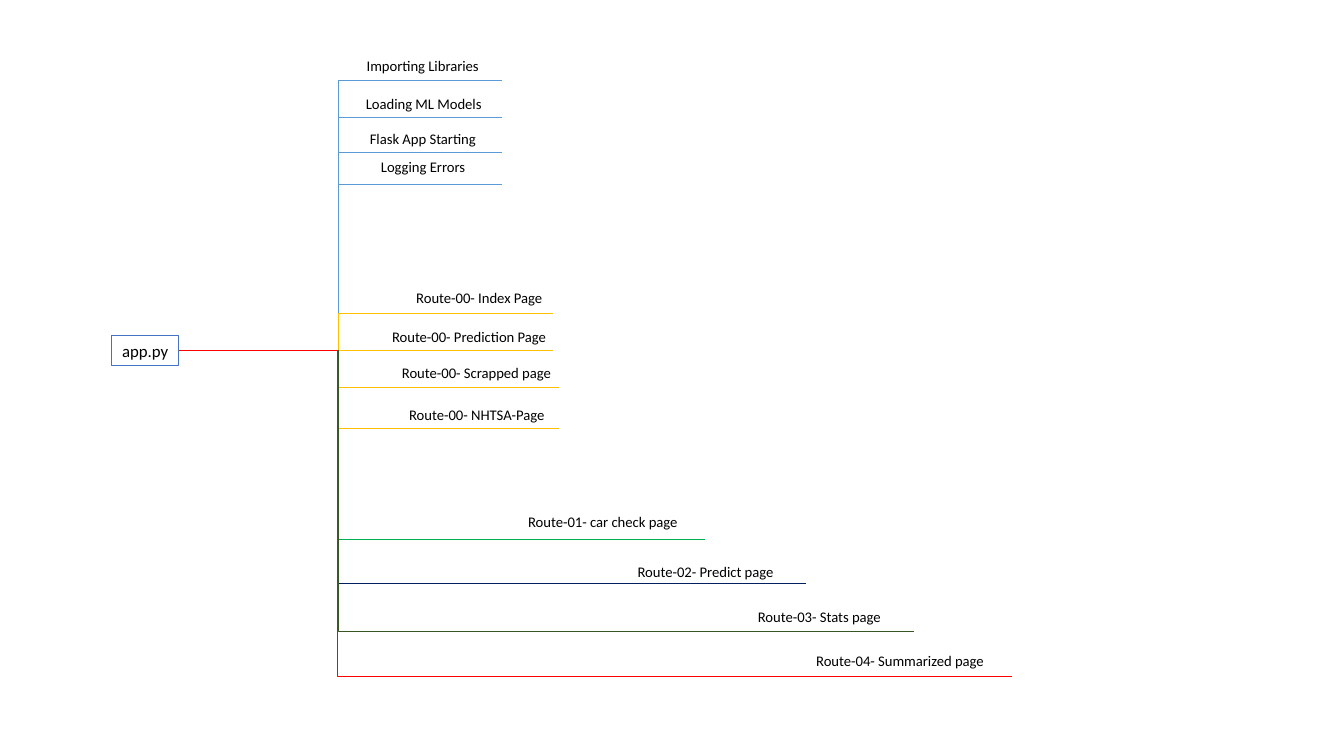
from dataclasses import dataclass

from lxml import etree
from pptx import Presentation
from pptx.dml.color import RGBColor
from pptx.enum.shapes import MSO_CONNECTOR, MSO_SHAPE
from pptx.enum.text import MSO_ANCHOR, PP_ALIGN
from pptx.oxml.ns import qn
from pptx.util import Cm, Pt

ELBOW, STRAIGHT = MSO_CONNECTOR.ELBOW, MSO_CONNECTOR.STRAIGHT
RECTANGLE = MSO_SHAPE.RECTANGLE
MIDDLE = MSO_ANCHOR.MIDDLE
LEFT, CENTER = PP_ALIGN.LEFT, PP_ALIGN.CENTER
RIGHT_SIDE = 3


@dataclass(frozen=True)
class Theme:
    font: str = "Calibri"
    text: str = "000000"
    root_line: str = "4472C4"
    setup: str = "5B9BD5"
    pages: str = "FFC000"
    audit: str = "00B050"
    predict: str = "002060"
    stats: str = "385723"
    summary: str = "FF0000"
    root_size: float = 12
    label_size: float = 10.5
    root_width: float = 0.75
    branch_width: float = 0.5


THEME = Theme()
ROOT_BOX = (2.82, 8.46, 1.68, 0.76)
LABEL_HEIGHT = 0.71

# Groups: colour, trunk x, branch end x, then (label, left, top, width, line y)
GROUPS = [
    (THEME.setup, 8.53, 12.65, [
        ("Importing Libraries", 8.99, 1.3, 3.38, 2.03),
        ("Loading ML Models", 8.97, 2.26, 3.48, 2.97),
        ("Flask App Starting", 9.07, 3.15, 3.23, 3.84),
        ("Logging Errors", 9.35, 3.86, 2.67, 4.65),
    ]),
    (THEME.pages, 8.53, 13.94, [
        ("Route-00- Index Page", 10.24, 7.16, 3.78, 7.9),
        ("Route-00- Prediction Page", 9.63, 8.13, 4.5, 8.84),
    ]),
    (THEME.pages, 8.52, 14.1, [
        ("Route-00- Scrapped page", 9.88, 9.04, 4.5, 9.75),
        ("Route-00- NHTSA-Page", 10.06, 10.11, 4.5, 10.8),
    ]),
    (THEME.audit, 8.52, 17.78, [("Route-01- car check page", 13.06, 12.8, 4.5, 13.59)]),
    (THEME.predict, 8.52, 20.32, [("Route-02- Predict page", 15.82, 14.05, 4.5, 14.71)]),
    (THEME.stats, 8.52, 23.04, [("Route-03- Stats page", 18.85, 15.19, 4.5, 15.9)]),
    (THEME.summary, 8.52, 25.5, [("Route-04- Summarized page", 20.32, 16.31, 5.21, 17.04)]),
]


def write_text(shape, text, size, align, **frame_format):
    frame = shape.text_frame
    for name, value in frame_format.items():
        setattr(frame, name, value)
    para = frame.paragraphs[0]
    para.text = text
    para.alignment = align
    font = para.runs[0].font
    for name, value in {"name": THEME.font, "size": Pt(size)}.items():
        setattr(font, name, value)
    font.color.rgb = RGBColor.from_string(THEME.text)


def set_line(shape, color, width):
    shape.line.color.rgb = RGBColor.from_string(color)
    shape.line.width = Pt(width)


def add_root(page, box):
    root = page.shapes.add_shape(RECTANGLE, *map(Cm, box))
    root.shadow.inherit = False
    root.fill.background()
    set_line(root, THEME.root_line, THEME.root_width)
    write_text(root, "app.py", THEME.root_size, CENTER,
               word_wrap=False, vertical_anchor=MIDDLE)
    return root


def add_branch(page, root, color, trunk, end, line_y):
    """Run a line from the root's right side, turning at the trunk."""
    start = root.left + root.width
    middle = root.top + root.height // 2
    level = Cm(line_y) == middle
    branch = page.shapes.add_connector(
        STRAIGHT if level else ELBOW, start, middle, Cm(end), Cm(line_y))
    branch.begin_connect(root, RIGHT_SIDE)
    set_line(branch, color, THEME.branch_width)
    properties = branch._element.spPr
    etree.SubElement(properties, qn("a:effectLst"))
    if not level:
        turn = round((Cm(trunk) - start) / (Cm(end) - start) * 100000)
        guides = properties.find(qn("a:prstGeom")).find(qn("a:avLst"))
        etree.SubElement(guides, qn("a:gd"), name="adj1", fmla=f"val {turn}")


def add_label(page, text, box):
    label = page.shapes.add_textbox(*map(Cm, box))
    write_text(label, text, THEME.label_size, LEFT, word_wrap=True, margin_right=0)


def add_group(page, root, color, trunk, end, branches):
    for text, left, top, width, line_y in branches:
        add_branch(page, root, color, trunk, end, line_y)
        add_label(page, text, (left, top, width, LABEL_HEIGHT))


def main():
    deck = Presentation()
    deck.slide_width, deck.slide_height = Cm(33.87), Cm(19.05)
    page = deck.slides.add_slide(deck.slide_layouts[6])
    root = add_root(page, ROOT_BOX)
    for group in GROUPS:
        add_group(page, root, *group)
    deck.save("out.pptx")


if __name__ == "__main__":
    main()
